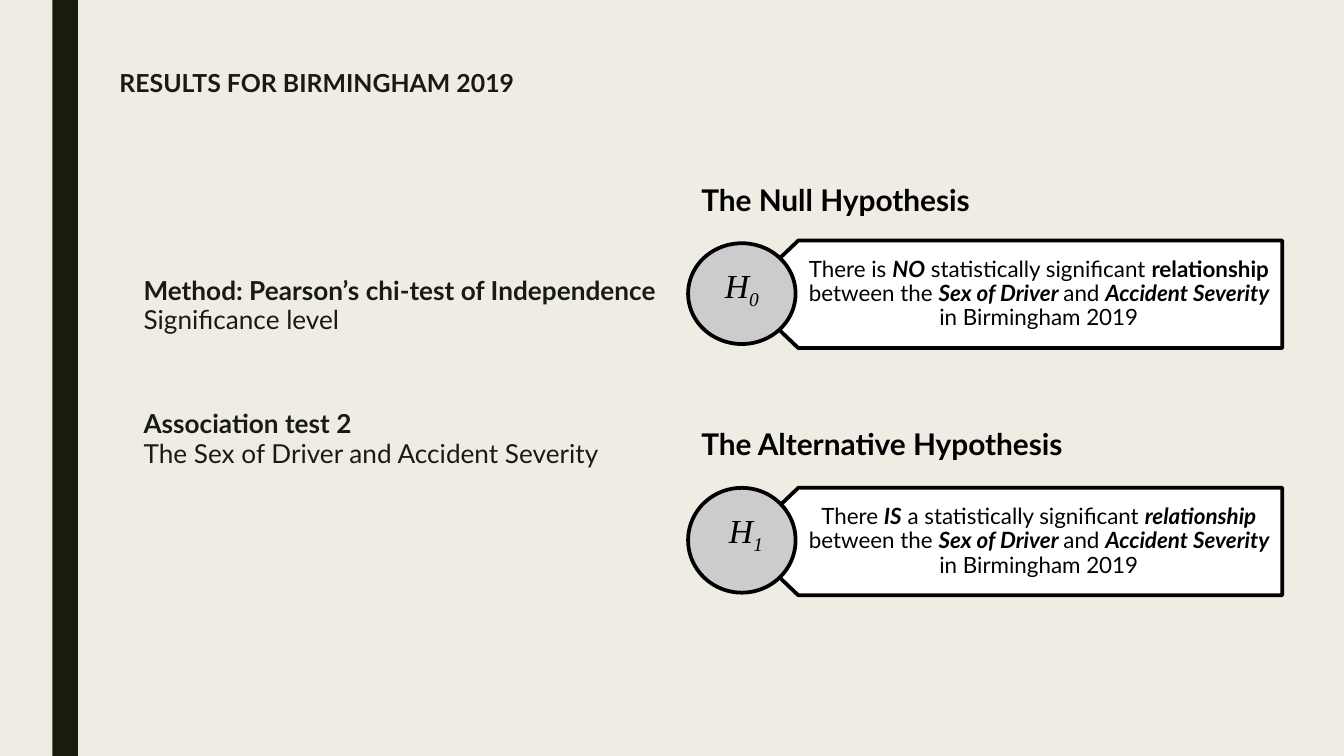
from dataclasses import dataclass

from pptx import Presentation
from pptx import util as u
from pptx.dml.color import RGBColor
from pptx.enum import shapes, text

CREAM = RGBColor(0xEF, 0xED, 0xE3)
DARK = RGBColor(0x19, 0x1B, 0x0E)
GREY = RGBColor(0xCC, 0xCC, 0xCC)
WHITE = RGBColor(0xFF, 0xFF, 0xFF)
BLACK = RGBColor(0, 0, 0)

SANS, SERIF = "Lato", "Times New Roman"
COLS, ROWS = 100, 56.25  # square cells
CELL = u.Inches(10) / COLS

# Left edge and width shared by both hypothesis blocks, in columns
DISC_X, DISC_W = 51.2, 8
TAG_X, TAG_W, TAG_H, NOTCH = 55.2, 40.2, 8, 4.2


@dataclass
class Box:
    x: float
    y: float
    w: float
    h: float

    def emu(self) -> list[int]:
        return [cells(v) for v in (self.x, self.y, self.w, self.h)]


@dataclass
class Run:
    words: str
    style: str = ""  # b = bold, i = italic, s = subscript, n = line break after


@dataclass
class Claim:
    title: str
    sign: list[Run]
    runs: list[Run]
    head: Box
    disc: Box
    top: float  # row of the tag's upper edge


def cells(n: float) -> int:
    return round(n * CELL)


def apply(item, form: dict) -> None:
    for key, val in form.items():
        setattr(item, key, val)


def write(par, runs: list[Run], size: float, face: str, ink: RGBColor,
          form: dict) -> None:
    apply(par, form)
    for part in runs:
        run = par.add_run()
        run.text = part.words
        apply(run.font, {"size": u.Pt(size), "name": face,
                         "bold": "b" in part.style,
                         "italic": "i" in part.style})
        run.font.color.rgb = ink
        if "s" in part.style:
            run.font._element.set("baseline", "-25000")
        if "n" in part.style:
            par.add_line_break()


def label(slide, box: Box, pars: list, size: float, ink: RGBColor) -> None:
    """Text box; pars holds (runs, paragraph format) pairs."""
    frame = slide.shapes.add_textbox(*box.emu()).text_frame
    frame.word_wrap = True
    for n, (runs, form) in enumerate(pars):
        par = frame.add_paragraph() if n else frame.paragraphs[0]
        write(par, runs, size, SANS, ink, form)


def paint(shape, fill: RGBColor, edge: RGBColor | None = None) -> None:
    shape.shadow.inherit = False
    shape.fill.solid()
    shape.fill.fore_color.rgb = fill
    if edge is None:
        shape.line.fill.background()
    else:
        shape.line.color.rgb = edge
        shape.line.width = u.Pt(2)


def panel(slide, box: Box, fill: RGBColor) -> None:
    paint(slide.shapes.add_shape(shapes.MSO_SHAPE.RECTANGLE, *box.emu()), fill)


def tag(slide, top: float, runs: list[Run]) -> None:
    """White label with a point on its left side."""
    right, low, neck = TAG_X + TAG_W, top + TAG_H, TAG_X + NOTCH
    pen = slide.shapes.build_freeform(cells(right), cells(low))
    dots = [(neck, low), (TAG_X, top + TAG_H / 2), (neck, top), (right, top)]
    pen.add_line_segments([(cells(x), cells(y)) for x, y in dots], close=True)
    shape = pen.convert_to_shape()
    paint(shape, WHITE, BLACK)
    frame = shape.text_frame
    apply(frame, {"word_wrap": True, "vertical_anchor": text.MSO_ANCHOR.MIDDLE,
                  "margin_left": cells(4.9), "margin_right": cells(0.9),
                  "margin_top": cells(0.5), "margin_bottom": cells(0.5)})
    write(frame.paragraphs[0], runs, 12, SANS, BLACK,
          {"alignment": text.PP_ALIGN.CENTER, "line_spacing": 0.9,
           "space_after": u.Pt(4.2)})


def disc(slide, box: Box, sign: list[Run]) -> None:
    """Grey circle with the symbol of the hypothesis."""
    shape = slide.shapes.add_shape(shapes.MSO_SHAPE.OVAL, *box.emu())
    paint(shape, GREY, BLACK)
    frame = shape.text_frame
    apply(frame, {"word_wrap": True, "vertical_anchor": text.MSO_ANCHOR.TOP})
    write(frame.paragraphs[0], sign, 18, SERIF, BLACK,
          {"alignment": text.PP_ALIGN.CENTER})


TAIL = [Run("Sex of Driver ", "bi"), Run("and "),
        Run("Accident Severity ", "bi"), Run("in Birmingham 2019")]

CLAIMS = [
    Claim("The Null Hypothesis", [Run("H", "i"), Run("0", "is")],
          [Run("There is "), Run("NO", "bi"),
           Run(" statistically significant "), Run("relationship", "b"),
           Run(" between the "), *TAIL],
          Box(DISC_X, 13, 25.7, 6.3), Box(DISC_X, 18.1, DISC_W, 7.5), 17.9),
    Claim("The Alternative Hypothesis", [Run(" H", "i"), Run("1", "is")],
          [Run("There "), Run("IS", "bi"),
           Run(" a statistically significant "), Run("relationship", "bi"),
           Run(" between the "), *TAIL],
          Box(DISC_X, 31.2, 32.5, 6.3), Box(DISC_X, 36.3, DISC_W, 7.8), 36.3),
]


def main() -> None:
    deck = Presentation()
    apply(deck, {"slide_width": cells(COLS), "slide_height": cells(ROWS)})
    slide = deck.slides.add_slide(deck.slide_layouts[6])
    slide.background.fill.solid()
    slide.background.fill.fore_color.rgb = CREAM

    # Backdrop, title and side bar
    panel(slide, Box(0, 0, COLS, ROWS), CREAM)
    label(slide, Box(7.9, 4.8, 68.2, 6.2),
          [([Run("RESULTS FOR BIRMINGHAM 2019", "b")],
            {"line_spacing": 0.89})], 13.3, DARK)
    panel(slide, Box(3.9, 0, 1.9, ROWS), DARK)

    # Method and test
    tight = {"line_spacing": 0.94}
    label(slide, Box(9.7, 20.1, 40.3, 22.1), [
        ([Run("Method: Pearson’s chi-test of Independence", "b")], tight),
        ([Run("Significance level")], tight),
        ([Run("Association test 2", "bn"),
          Run("The Sex of Driver and Accident Severity")],
         {**tight, "space_before": u.Pt(40)}),
    ], 14, DARK)

    # Hypotheses
    for claim in CLAIMS:
        tag(slide, claim.top, claim.runs)
        disc(slide, claim.disc, claim.sign)
    for claim in CLAIMS:
        label(slide, claim.head, [([Run(claim.title, "b")], {})], 16, BLACK)

    deck.save("out.pptx")


if __name__ == "__main__":
    main()
